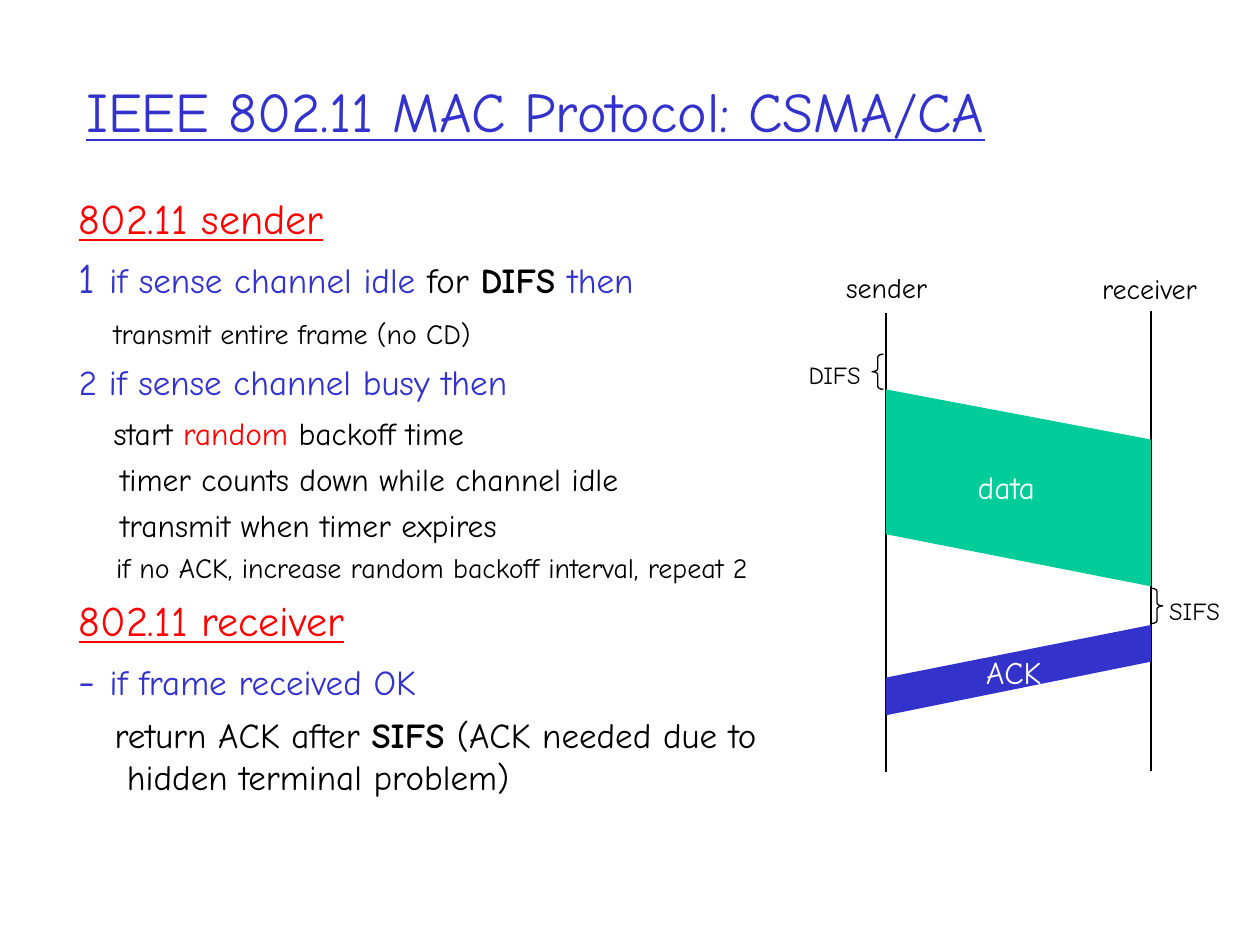
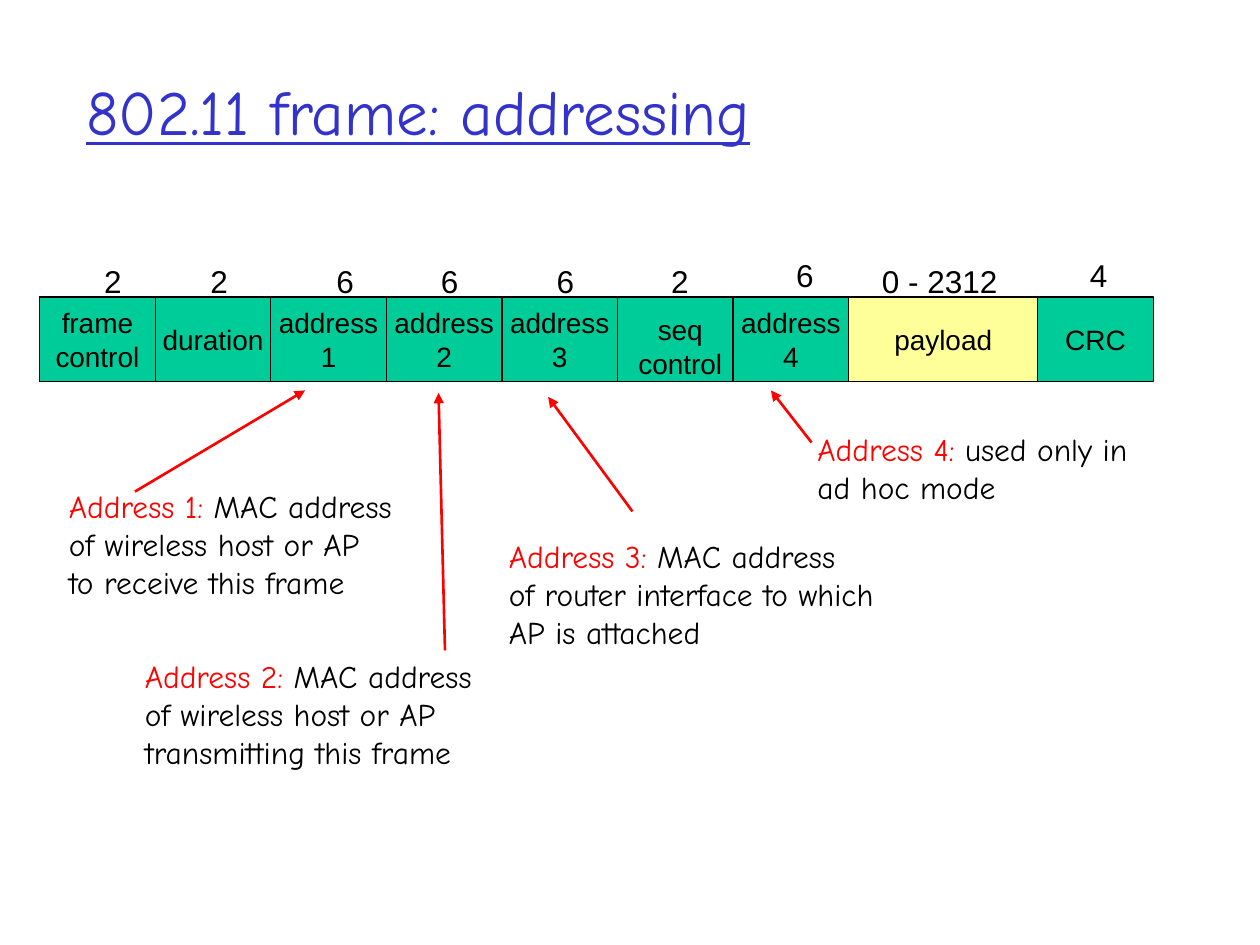
from lxml import etree
from pptx import Presentation
from pptx.dml.color import RGBColor
from pptx.enum import shapes, text
from pptx.oxml import ns
from pptx.util import Cm, Pt

# Shared colours and fonts
BLUE, RED, GREEN, YELLOW = "3333CC", "FF0000", "00CC99", "FFFF99"
BLACK, WHITE = "000000", "FFFFFF"
COMIC, SANS = "Comic Neue", "Arial"
TITLE_BOX = (1.49, 0.64, 21.59, 3.18)

# Slide 1 text: (space before, left margin, first-line indent, runs)
# Each run: (text, size, colour, extra font attributes)
UNDERLINE, BOLD = {"underline": True}, {"bold": True}
PROTOCOL_TITLE = ("IEEE 802.11 MAC Protocol: CSMA/CA", 32, BLUE, UNDERLINE)
PROTOCOL_BOX = (1.34, 3.76, 15.65, 13.77)
PROTOCOL_STEPS = [
    (6, 0.97, -0.97, [("802.11 sender", 24, RED, UNDERLINE)]),
    (5, 0.97, -0.97, [("1 ", 24, BLUE), ("if sense channel idle", 20, BLUE),
                      (" for ", 20, BLACK), ("DIFS ", 20, BLACK, BOLD),
                      ("then", 20, BLUE)]),
    (8, 0.7, 0, [("transmit entire frame (no CD)", 16, BLACK)]),
    (6, 0.97, -0.97, [("2 if sense channel busy then", 20, BLUE)]),
    (6.5, 0.7, 0, [("start ", 18, BLACK), ("random", 18, RED),
                   (" backoff time", 18, BLACK)]),
    (5, 0.84, 0, [("timer counts down while channel idle", 18, BLACK)]),
    (4.5, 0.84, 0, [("transmit when timer expires", 18, BLACK)]),
    (4, 0.75, 0, [("if no ACK, increase random backoff interval, repeat 2",
                   16, BLACK)]),
    (6, 0.97, -0.97, [("802.11 receiver", 24, RED, UNDERLINE)]),
    (5, 0.97, -0.97, [("- ", 24, BLUE), ("if frame received OK", 20, BLUE)]),
    (5, 0.97, -0.25, [("return ACK after ", 20, BLACK),
                      ("SIFS ", 20, BLACK, BOLD),
                      ("(ACK needed due to hidden terminal problem)",
                       20, BLACK)]),
]

# Slide 1 timing diagram, in centimetres
SENDER_X, RECEIVER_X = 17.86, 23.2
TIMELINES = [(SENDER_X, 6.3, 15.57), (RECEIVER_X, 6.27, 15.54)]
MESSAGES = [  # fill, top and bottom at sender, top and bottom at receiver
    (GREEN, 7.85, 10.77, 8.86, 11.82),
    (BLUE, 13.66, 14.42, 12.6, 13.34),
]
BRACES = [(shapes.MSO_SHAPE.LEFT_BRACE, 17.58, 7.14),
          (shapes.MSO_SHAPE.RIGHT_BRACE, 23.21, 11.86)]
BRACE_SIZE = (0.23, 0.71)
DIAGRAM_LABELS = [
    ("sender", 16, BLACK, (16.81, 5.33, 2.4, 0.94)),
    ("receiver", 16, BLACK, (21.97, 5.35, 2.7, 0.94)),
    ("DIFS", 14, BLACK, (16.05, 7.14, 1.8, 0.86)),
    ("data", 18, WHITE, (19.46, 9.32, 1.9, 1.02)),
    ("SIFS", 14, BLACK, (23.32, 11.89, 1.8, 0.86)),
    ("ACK", 18, WHITE, (19.63, 13.03, 1.9, 1.02)),
]

# Slide 2 frame: (lines, fill, width, byte count, count left, count top)
FRAME_TITLE = ("802.11 frame: addressing", 36, BLUE, UNDERLINE)
FRAME_LEFT, FRAME_TOP, FRAME_HEIGHT = 0.8, 5.99, 1.7
FIELD, PAYLOAD = 2.33, 3.81
COUNT_WIDTH, COUNT_HEIGHT = 3.3, 1.02
FRAME_FIELDS = [
    (["frame", "control"], GREEN, FIELD, "2", 1.85, 5.16),
    (["duration"], GREEN, FIELD, "2", 3.99, 5.16),
    (["address", "1"], GREEN, FIELD, "6", 6.53, 5.16),
    (["address", "2"], GREEN, FIELD, "6", 8.64, 5.16),
    (["address", "3"], GREEN, FIELD, "6", 10.97, 5.16),
    (["seq", "control"], GREEN, FIELD, "2", 13.28, 5.16),
    (["address", "4"], GREEN, FIELD, "6", 15.8, 5.03),
    (["payload"], YELLOW, PAYLOAD, "0 - 2312", 17.53, 5.16),
    (["CRC"], GREEN, FIELD, "4", 21.72, 5.03),
]
LOWERED = {"seq": {"margin_left": Cm(0.45), "margin_top": Cm(0.4)}}

# Slide 2 notes: (heading, lines, box, wrapped, arrow from x, y to x, y)
ADDRESS_NOTES = [
    ("Address 1:", [" MAC address", "of wireless host or AP",
                    "to receive this frame"],
     (1.14, 9.7, 7.3, 2.54), False, (2.72, 9.91, 6.15, 7.87)),
    ("Address 2:", [" MAC address", "of wireless host or AP",
                    "transmitting this frame"],
     (2.67, 13.13, 7.4, 2.54), False, (8.97, 13.11, 8.84, 7.92)),
    ("Address 3:", [" MAC address",
                    "of router interface to which AP is attached"],
     (10.01, 10.71, 8.48, 2.54), True, (12.75, 10.31, 11.05, 8)),
    ("Address 4:", [" used only in ad hoc mode"],
     (16.23, 8.55, 7.24, 1.78), True, (16.36, 8.92, 15.54, 7.87)),
]


def colour(value):
    return RGBColor.from_string(value)


def lengths(values):
    return [Cm(value) for value in values]


def apply(target, settings):
    for name, value in settings.items():
        setattr(target, name, value)


def write(paragraph, runs, font_name=COMIC):
    for content, size, hue, *extra in runs:
        run = paragraph.add_run()
        run.text = content
        apply(run.font, {"name": font_name, "size": Pt(size)})
        run.font.color.rgb = colour(hue)
        for settings in extra:
            apply(run.font, settings)


def fill_frame(frame, lines, font_name=COMIC, align=text.PP_ALIGN.LEFT):
    """Write one paragraph per list of runs and return the paragraphs."""
    for index, runs in enumerate(lines):
        paragraph = frame.add_paragraph() if index else frame.paragraphs[0]
        paragraph.alignment = align
        write(paragraph, runs, font_name)
    return frame.paragraphs


def add_text(slide, box, lines, font_name=COMIC, wrap=False, **settings):
    frame = slide.shapes.add_textbox(*lengths(box)).text_frame
    apply(frame, {"word_wrap": wrap, **settings})
    return fill_frame(frame, lines, font_name)


def add_line(slide, ends, hue=BLACK, width=0.75, arrow=False):
    line = slide.shapes.add_connector(shapes.MSO_CONNECTOR.STRAIGHT,
                                      *lengths(ends))
    line.line.color.rgb = colour(hue)
    line.line.width = Pt(width)
    properties = line._element.spPr
    if arrow:
        etree.SubElement(properties.find(ns.qn("a:ln")), ns.qn("a:tailEnd"),
                         type="triangle")
    etree.SubElement(properties, ns.qn("a:effectLst"))


def style(shape, fill=None, outline=None):
    shape.shadow.inherit = False
    if fill:
        shape.fill.solid()
        shape.fill.fore_color.rgb = colour(fill)
    else:
        shape.fill.background()
    if outline:
        shape.line.color.rgb = colour(outline)
        shape.line.width = Pt(0.75)
    else:
        shape.line.fill.background()


def add_slide(presentation, title):
    slide = presentation.slides.add_slide(presentation.slide_layouts[6])
    add_text(slide, TITLE_BOX, [[title]], wrap=True,
             vertical_anchor=text.MSO_ANCHOR.MIDDLE)
    return slide


def build_protocol(presentation):
    slide = add_slide(presentation, PROTOCOL_TITLE)

    # Steps of sender and receiver
    paragraphs = add_text(slide, PROTOCOL_BOX,
                          [step[3] for step in PROTOCOL_STEPS], wrap=True)
    for paragraph, (before, margin, indent, _) in zip(paragraphs,
                                                      PROTOCOL_STEPS):
        paragraph.space_before = Pt(before)
        properties = paragraph._p.get_or_add_pPr()
        properties.set("marL", str(Cm(margin)))
        properties.set("indent", str(Cm(indent)))

    # Timelines, messages and waiting times
    for x, top, bottom in TIMELINES:
        add_line(slide, (x, top, x, bottom))
    for fill, sent_top, sent_end, got_top, got_end in MESSAGES:
        builder = slide.shapes.build_freeform(Cm(SENDER_X), Cm(sent_top))
        corners = [(RECEIVER_X, got_top), (RECEIVER_X, got_end),
                   (SENDER_X, sent_end)]
        builder.add_line_segments([lengths(corner) for corner in corners])
        style(builder.convert_to_shape(), fill)
    for kind, left, top in BRACES:
        brace = slide.shapes.add_shape(
            kind, *lengths((left, top, *BRACE_SIZE)))
        brace.adjustments[0] = 0.26
        style(brace, outline=BLACK)
    for label, size, hue, box in DIAGRAM_LABELS:
        add_text(slide, box, [[(label, size, hue)]])


def build_frame(presentation):
    slide = add_slide(presentation, FRAME_TITLE)

    # Frame fields with their byte counts
    left = FRAME_LEFT
    for lines, fill, width, count, count_left, count_top in FRAME_FIELDS:
        field = slide.shapes.add_shape(
            shapes.MSO_SHAPE.RECTANGLE,
            *lengths((left, FRAME_TOP, width, FRAME_HEIGHT)))
        style(field, fill, BLACK)
        apply(field.text_frame, {"word_wrap": False,
                                 "vertical_anchor": text.MSO_ANCHOR.MIDDLE,
                                 **LOWERED.get(lines[0], {})})
        fill_frame(field.text_frame, [[(line, 16, BLACK)] for line in lines],
                   SANS, text.PP_ALIGN.CENTER)
        count_width = COUNT_WIDTH if len(count) > 1 else 1
        add_text(slide, (count_left, count_top, count_width, COUNT_HEIGHT),
                 [[(count, 18, BLACK)]], SANS)
        left += width

    # Address notes and arrows
    for heading, lines, box, wrap, arrow in ADDRESS_NOTES:
        runs = [[(line, 18, BLACK)] for line in lines]
        runs[0].insert(0, (heading, 18, RED))
        add_text(slide, box, runs, wrap=wrap)
        add_line(slide, arrow, RED, 1.5, arrow=True)


def main():
    presentation = Presentation()
    presentation.slide_width, presentation.slide_height = lengths((25.4, 19.05))
    build_protocol(presentation)
    build_frame(presentation)
    presentation.save("out.pptx")


if __name__ == "__main__":
    main()
